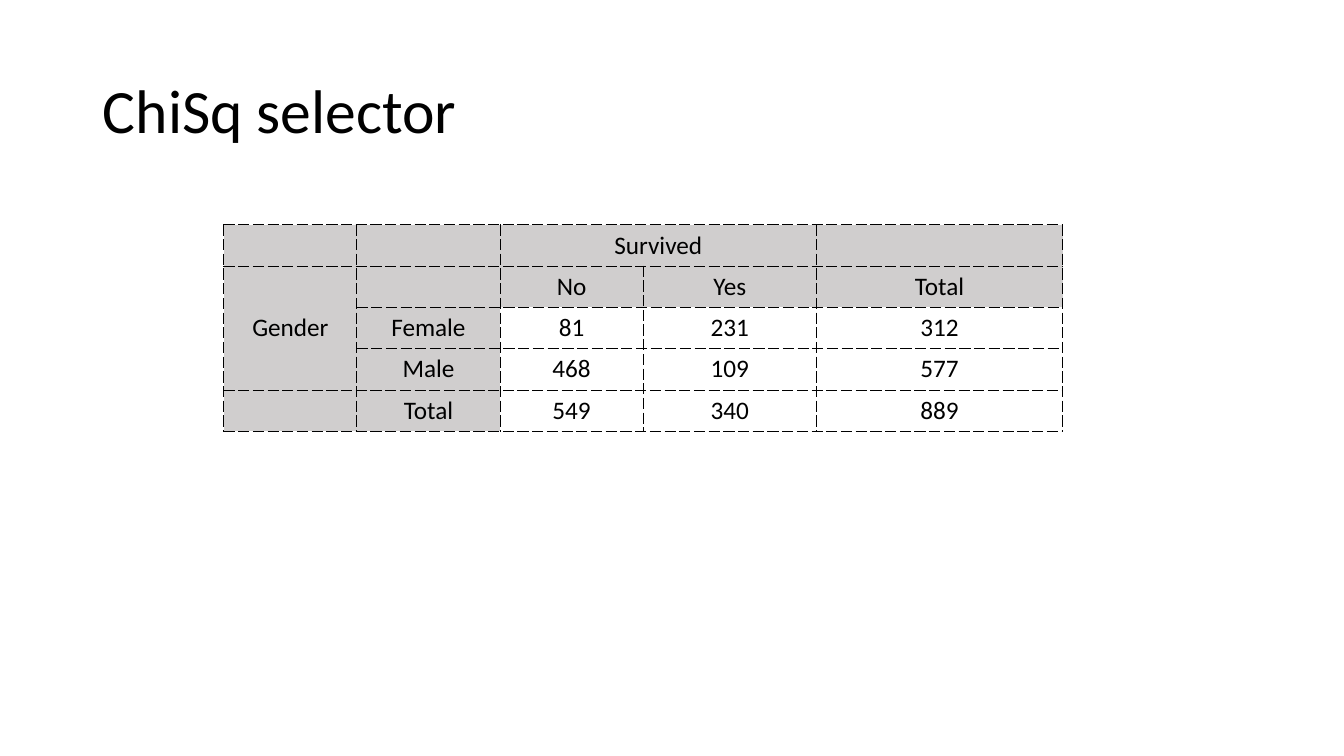
from dataclasses import dataclass

from lxml import etree
from pptx import Presentation
from pptx.dml.color import RGBColor
from pptx.enum.text import MSO_ANCHOR, PP_ALIGN
from pptx.oxml.ns import qn
from pptx.util import Inches, Pt

CENTER, LEFT = PP_ALIGN.CENTER, PP_ALIGN.LEFT
MIDDLE, TOP = MSO_ANCHOR.MIDDLE, MSO_ANCHOR.TOP
TITLE_ONLY = 5


@dataclass(frozen=True)
class Theme:
    font: str = "Calibri"
    ink: str = "000000"
    header: str = "D0CECE"
    title_size: int = 44
    cell_size: int = 18
    border_width: float = 0.75
    border_dash: str = "sysDash"


THEME = Theme()
TITLE_BOX = (0.92, 0.4, 11.5, 1.45)
TABLE_ORIGIN = (2.22, 2.23)
COLUMN_WIDTHS = (1.32, 1.42, 1.42, 1.72, 2.44)
ROW_HEIGHT = 0.41
HEADER_ROWS = HEADER_COLUMNS = 2
SURVIVAL = (
    ("", "", "Survived", "", ""),
    ("Gender", "", "No", "Yes", "Total"),
    ("", "Female", "81", "231", "312"),
    ("", "Male", "468", "109", "577"),
    ("", "Total", "549", "340", "889"),
)
MERGES = (((0, 2), (0, 3)), ((1, 0), (3, 0)))


def format_text(p, size, align):
    p.alignment = align
    values = {"name": THEME.font, "size": Pt(size), "bold": False}
    for name, value in values.items():
        setattr(p.font, name, value)
    p.font.color.rgb = RGBColor.from_string(THEME.ink)


def add_title(s, text):
    sp = s.shapes.title
    sp.left, sp.top, sp.width, sp.height = map(Inches, TITLE_BOX)
    tf = sp.text_frame
    tf.text = text
    tf.vertical_anchor = MIDDLE
    p = tf.paragraphs[0]
    p.line_spacing = 0.9
    format_text(p, THEME.title_size, LEFT)


def add_borders(cell):
    """Draw dashed lines on all four sides; they must precede the cell fill."""
    tc_pr = cell._tc.get_or_add_tcPr()
    for i, side in enumerate("LRTB"):
        ln = etree.Element(qn(f"a:ln{side}"), w=str(Pt(THEME.border_width)))
        fill = etree.SubElement(ln, qn("a:solidFill"))
        etree.SubElement(fill, qn("a:srgbClr"), val=THEME.ink)
        etree.SubElement(ln, qn("a:prstDash"), val=THEME.border_dash)
        tc_pr.insert(i, ln)


def format_cell(cell, text, is_header):
    if text:
        cell.text = text
    cell.vertical_anchor = MIDDLE if cell.is_merge_origin else TOP
    format_text(cell.text_frame.paragraphs[0], THEME.cell_size, CENTER)
    if is_header:
        cell.fill.solid()
        cell.fill.fore_color.rgb = RGBColor.from_string(THEME.header)
    else:
        cell.fill.background()
    add_borders(cell)


def add_table(s, rows):
    size = (sum(COLUMN_WIDTHS), ROW_HEIGHT * len(rows))
    table = s.shapes.add_table(len(rows), len(COLUMN_WIDTHS),
                               *map(Inches, TABLE_ORIGIN + size)).table
    table.first_row = table.horz_banding = False
    for column, width in zip(table.columns, COLUMN_WIDTHS):
        column.width = Inches(width)
    for first, last in MERGES:
        table.cell(*first).merge(table.cell(*last))
    for r, row in enumerate(rows):
        table.rows[r].height = Inches(ROW_HEIGHT)
        for c, text in enumerate(row):
            is_header = r < HEADER_ROWS or c < HEADER_COLUMNS
            format_cell(table.cell(r, c), text, is_header)


def main():
    prs = Presentation()
    prs.slide_width, prs.slide_height = Inches(13.33), Inches(7.5)
    s = prs.slides.add_slide(prs.slide_layouts[TITLE_ONLY])
    add_title(s, "ChiSq selector")
    add_table(s, SURVIVAL)
    prs.save("out.pptx")


if __name__ == "__main__":
    main()
